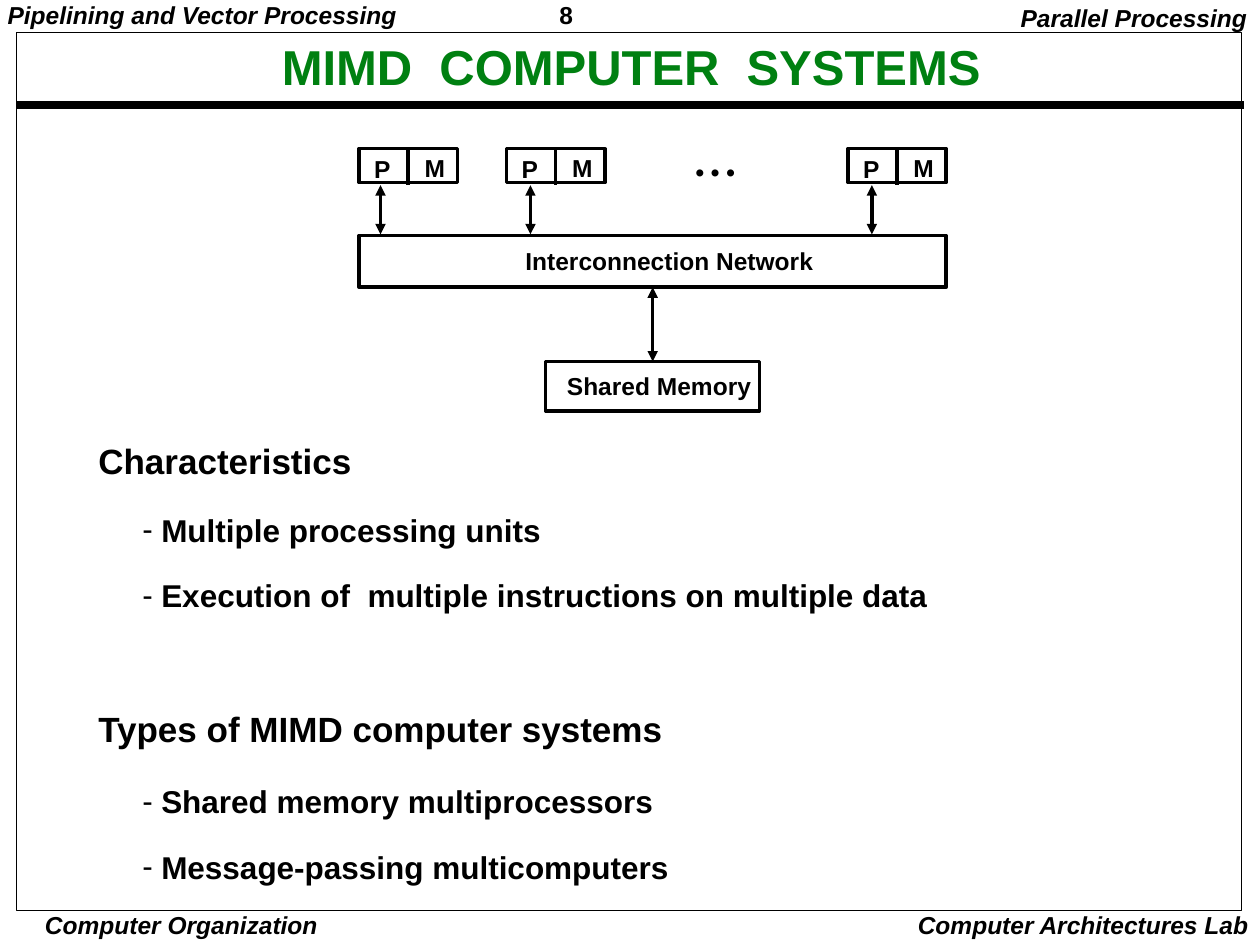
"""Build the slide on MIMD computer systems with its block diagram and two lists."""
from lxml.etree import SubElement
from pptx import Presentation
from pptx.dml.color import RGBColor
from pptx.enum.shapes import MSO_CONNECTOR, MSO_SHAPE
from pptx.enum.text import MSO_ANCHOR, MSO_AUTO_SIZE, PP_ALIGN
from pptx.oxml.ns import qn
from pptx.util import Inches, Pt

COLORS = {"ink": "000000", "title": "008011"}
INK = RGBColor.from_string(COLORS["ink"])


def write(box, text, size=14, italic=False, align=PP_ALIGN.LEFT, spacing=0.9, color="ink"):
    """Format the frame of a box and write one paragraph in it."""
    frame = box.text_frame
    frame.auto_size = MSO_AUTO_SIZE.NONE
    frame.margin_left = frame.margin_right = Inches(0.07)
    frame.margin_top = frame.margin_bottom = Inches(0.03)
    para = frame.paragraphs[0] if not frame.text else frame.add_paragraph()
    para.alignment = align
    para.line_spacing = spacing
    para.space_before = para.space_after = Pt(0)
    span = para.add_run()
    span.text = text
    span.font.name = "Arial"
    span.font.size = Pt(size)
    span.font.bold = True
    span.font.italic = italic
    span.font.color.rgb = RGBColor.from_string(COLORS[color])
    return para


def draw_line(x1, y1, x2, y2, weight=2, arrows=False):
    """Draw a straight line, with arrowheads at both ends on request."""
    line = page.shapes.add_connector(
        MSO_CONNECTOR.STRAIGHT, Inches(x1), Inches(y1), Inches(x2), Inches(y2))
    line.line.color.rgb = INK
    line.line.width = Pt(weight)
    if arrows:
        outline = line.line._get_or_add_ln()
        for end in ("a:headEnd", "a:tailEnd"):
            SubElement(outline, qn(end), type="triangle")
    SubElement(line._element.spPr, qn("a:effectLst"))
    return line


deck = Presentation()
deck.slide_width, deck.slide_height = Inches(10), Inches(7.5)
page = deck.slides.add_slide(deck.slide_layouts[1])

title, body = page.placeholders
title.left, title.top, title.width, title.height = map(Inches, (0.85, 0.28, 8.32, 0.55))
title.text_frame.vertical_anchor = MSO_ANCHOR.MIDDLE
write(title, "MIMD  COMPUTER  SYSTEMS", 28, align=PP_ALIGN.CENTER, color="title")

draw_line(0.13, 0.83, 9.87, 0.83, weight=4.5)

rectangles = {
    "frame": (0.13, 0.26, 9.72, 6.97, 0.5),
    "network": (2.85, 1.87, 4.66, 0.41, 2),
    "memory": (4.33, 2.87, 1.7, 0.39, 2),
}
node_lefts = (2.85, 4.02, 6.73)
for left in node_lefts:
    rectangles[left] = (left, 1.18, 0.78, 0.27, 2)
blocks = {}
for name, (left, top, width, height, weight) in rectangles.items():
    block = page.shapes.add_shape(
        MSO_SHAPE.RECTANGLE, Inches(left), Inches(top), Inches(width), Inches(height))
    block.shadow.inherit = False
    block.fill.background()
    block.line.color.rgb = INK
    block.line.width = Pt(weight)
    blocks[name] = block

labels = [
    ("8", 4.37, 0, 1.08, False, PP_ALIGN.LEFT),
    ("Pipelining and Vector Processing", -0.01, 0, 3.24, True, PP_ALIGN.LEFT),
    ("Parallel Processing", 7.97, 0.02, 2, True, PP_ALIGN.RIGHT),
    ("Computer Organization", 0.33, 7.22, 2.22, True, PP_ALIGN.CENTER),
    ("Computer Architectures Lab", 7.15, 7.22, 2.83, True, PP_ALIGN.RIGHT),
    ("Interconnection Network", 4.1, 1.95, 2.43, False, PP_ALIGN.LEFT),
    ("Shared Memory", 4.43, 2.94, 1.6, False, PP_ALIGN.LEFT),
    ("• • •", 5.45, 1.24, 0.45, False, PP_ALIGN.LEFT),
]
for left, arrow_x in zip(node_lefts, (3.02, 4.21, 6.92)):
    draw_line(left + 0.39, 1.17, left + 0.39, 1.47)
    draw_line(arrow_x, 1.47, arrow_x, 1.86, arrows=True)
    labels.append(("P", left + 0.05, 1.22, 0.27, False, PP_ALIGN.LEFT))
    labels.append(("M", left + 0.45, 1.21, 0.3, False, PP_ALIGN.LEFT))
for text, left, top, width, italic, align in labels:
    box = page.shapes.add_textbox(Inches(left), Inches(top), Inches(width), Inches(0.27))
    box.text_frame.word_wrap = False
    write(box, text, italic=italic, align=align)

memory_link = draw_line(5.18, 2.28, 5.18, 2.87, arrows=True)
memory_link.begin_connect(blocks["network"], 2)
memory_link.end_connect(blocks["memory"], 0)

body.left, body.top, body.width, body.height = map(Inches, (0.71, 3.51, 6.9, 3.48))
body.text_frame.word_wrap = True
sections = [
    ("Characteristics", 0, 20,
     ("Multiple processing units", "Execution of  multiple instructions on multiple data")),
    ("Types of MIMD computer systems", 57, 22,
     ("Shared memory multiprocessors", "Message-passing multicomputers")),
]
for heading, heading_gap, first_gap, items in sections:
    para = write(body, heading, 20, spacing=0.85)
    para.space_before = Pt(heading_gap)
    properties = para._p.get_or_add_pPr()
    properties.set("marL", "0")
    properties.set("indent", "0")
    SubElement(properties, qn("a:buNone"))
    for item, gap in zip(items, (first_gap, 19)):
        para = write(body, item, 18, spacing=0.85)
        para.space_before = Pt(gap)
        properties = para._p.get_or_add_pPr()
        properties.set("marL", str(Inches(0.5)))
        properties.set("indent", str(Inches(-0.15)))
        SubElement(properties, qn("a:buFont"), typeface="Arial")
        SubElement(properties, qn("a:buChar"), char="-")

deck.save("out.pptx")
